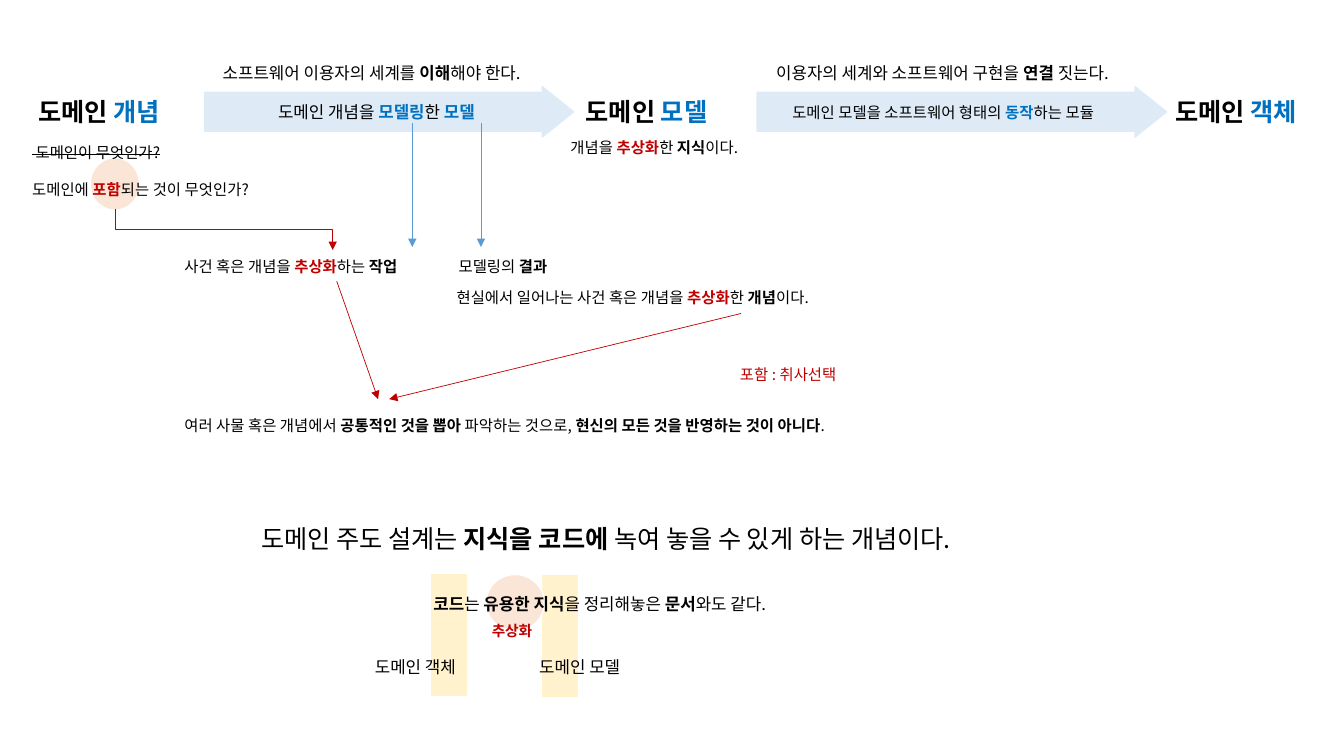
from lxml import etree
from pptx import Presentation
from pptx.dml.color import RGBColor
from pptx.enum.shapes import MSO_CONNECTOR, MSO_SHAPE
from pptx.enum.text import MSO_ANCHOR, MSO_AUTO_SIZE, PP_ALIGN
from pptx.oxml.ns import qn
from pptx.util import Inches, Pt

STRAIGHT, ELBOW = MSO_CONNECTOR.STRAIGHT, MSO_CONNECTOR.ELBOW
RECT, OVAL, ARROW = MSO_SHAPE.RECTANGLE, MSO_SHAPE.OVAL, MSO_SHAPE.RIGHT_ARROW
FONT = "Noto Sans CJK KR"
BLACK, RED, BLUE, SKY = "000000", "C00000", "0070C0", "5B9BD5"
YELLOW, PEACH, PALE_BLUE, WHITE = "FFF2CC", "FBE5D6", "DEEBF7", "FFFFFF"

# run style: (colour, font attributes)
PLAIN = (BLACK, {"bold": False})
BOLD = (BLACK, {"bold": True})
KEY = (BLUE, {"bold": True})
ABSTRACT = (RED, {"bold": True})
NOTE = (RED, {"bold": False})
STRUCK = (BLACK, {"bold": False, "strike": True})

# kind, left, top, width, height, fill, line
HIGHLIGHTS = [
    (RECT, 5.38, 5.71, 0.35, 1.2, YELLOW, YELLOW),
    (RECT, 4.28, 5.7, 0.35, 1.2, YELLOW, YELLOW),
    (OVAL, 4.82, 5.7, 0.58, 0.56, PEACH, WHITE),
    (OVAL, 0.91, 1.58, 0.46, 0.49, PEACH, PEACH),
    (ARROW, 7.51, 0.86, 4.06, 0.5, PALE_BLUE, PALE_BLUE),
    (ARROW, 2.03, 0.86, 3.66, 0.5, PALE_BLUE, PALE_BLUE),
]
ARROW_ADJUSTMENTS = (0.772, 0.623)

HEADLINE = (2.49, 5.14, 7.97, 0.4, 18, [
    ("도메인 주도 설계는 ", PLAIN), ("지식을 코드에", BOLD),
    (" 녹여 놓을 수 있게 하는 개념이다.", PLAIN)])

# left, top, width, height, size, runs
LABELS = [
    (0.28, 0.91, 1.55, 0.4, 18, [("도메인 ", BOLD), ("개념", KEY)]),
    (5.71, 0.91, 1.55, 0.4, 18, [("도메인 ", BOLD), ("모델", KEY)]),
    (11.56, 0.91, 1.55, 0.4, 18, [("도메인 ", BOLD), ("객체", KEY)]),
    (2.11, 0.57, 3.51, 0.3, 12, [
        ("소프트웨어 이용자의 세계를 ", PLAIN), ("이해", BOLD), ("해야 한다.", PLAIN)]),
    (7.6, 0.57, 3.87, 0.3, 12, [
        ("이용자의 세계와 소프트웨어 구현을 ", PLAIN), ("연결", BOLD), (" 짓는다.", PLAIN)]),
    (2.66, 0.96, 2.4, 0.3, 12, [
        ("도메인 개념을 ", PLAIN), ("모델링", KEY), ("한 ", PLAIN), ("모델", KEY)]),
    (7.76, 0.97, 3.56, 0.29, 11, [
        ("도메인 모델을 소프트웨어 형태의 ", PLAIN), ("동작", KEY), ("하는 모듈", PLAIN)]),
    (5.56, 1.32, 2.04, 0.29, 11, [
        ("개념을 ", PLAIN), ("추상화", ABSTRACT), ("한 ", PLAIN), ("지식", BOLD), ("이다.", PLAIN)]),
    (1.73, 2.5, 2.58, 0.29, 11, [
        ("사건 혹은 개념을 ", PLAIN), ("추상화", ABSTRACT), ("하는 ", PLAIN), ("작업", BOLD)]),
    (4.45, 2.5, 1.18, 0.29, 11, [("모델링의 ", PLAIN), ("결과", BOLD)]),
    (4.43, 2.81, 4.08, 0.29, 11, [
        ("현실에서 일어나는 사건 혹은 개념을 ", PLAIN), ("추상화", ABSTRACT),
        ("한 ", PLAIN), ("개념", BOLD), ("이다.", PLAIN)]),
    (1.73, 4.08, 7.32, 0.29, 11, [
        ("여러 사물 혹은 개념에서 ", PLAIN), ("공통적인 것을 뽑아", BOLD),
        (" 파악하는 것으로, ", PLAIN),
        ("현신의 모든 것을 반영하는 것이 아니다", BOLD), (".", PLAIN)]),
    (7.24, 3.57, 1.27, 0.29, 11, [("포함 : 취사선택", NOTE)]),
    (4.2, 5.84, 3.87, 0.3, 12, [
        ("코드", BOLD), ("는 ", PLAIN), ("유용한 지식", BOLD),
        ("을 정리해놓은 ", PLAIN), ("문서", BOLD), ("와도 같다.", PLAIN)]),
    (4.78, 6.12, 0.66, 0.29, 10.5, [("추상화", ABSTRACT)]),
    (3.62, 6.47, 1.1, 0.3, 12, [("도메인 객체", PLAIN)]),
    (5.25, 6.47, 1.1, 0.3, 12, [("도메인 모델", PLAIN)]),
]

QUESTION_BOX = (0.22, 1.28, 2.59, 0.75)
QUESTIONS = [
    (1.5, [(" 도메인이 무엇인가?", STRUCK)]),
    (2.0, [("도메인에 ", PLAIN), ("포함", ABSTRACT), ("되는 것이 무엇인가?", PLAIN)]),
]

# kind, start, end, colour
LINKS = [
    (STRAIGHT, (4.09, 1.22), (4.09, 2.45), SKY),
    (STRAIGHT, (4.77, 1.22), (4.77, 2.45), SKY),
    (STRAIGHT, (7.35, 3.11), (3.86, 3.96), RED),
    (STRAIGHT, (3.34, 2.79), (3.75, 3.96), RED),
    (ELBOW, (1.14, 2.07), (3.3, 2.48), RED),
]

SCRIBBLE = [
    (6.88, 4.01), (6.92, 4.01), (6.93, 4), (6.96, 3.98), (6.97, 3.97), (6.98, 3.95),
    (6.97, 3.88), (6.97, 3.86), (6.96, 3.86), (6.92, 3.86), (6.92, 3.88), (6.93, 3.92),
    (7.02, 3.91), (7.03, 3.9), (7.04, 3.9), (7.05, 3.88), (7.06, 3.86), (7.07, 3.85),
    (7.07, 3.83), (7.07, 3.76), (7.06, 3.75), (7.05, 3.74), (7.02, 3.75), (7.02, 3.77),
    (7.03, 3.82), (7.04, 3.83), (7.09, 3.82), (7.11, 3.82), (7.12, 3.81), (7.12, 3.79),
    (7.14, 3.78), (7.14, 3.73),
]


def rgb(value):
    return RGBColor.from_string(value)


def set_line(shape, color, width):
    shape.line.color.rgb = rgb(color)
    shape.line.width = Pt(width)


def place(shape, box):
    for side, length in zip(("left", "top", "width", "height"), box):
        setattr(shape, side, Inches(length))


def write_paragraph(paragraph, size, runs):
    paragraph.alignment = PP_ALIGN.LEFT
    for text, (color, attributes) in runs:
        run = paragraph.add_run()
        run.text = text
        run.font.color.rgb = rgb(color)
        properties = run.font._element
        for name, value in {"size": Pt(size), "name": FONT, "bold": attributes["bold"]}.items():
            setattr(run.font, name, value)
        if attributes.get("strike"):
            properties.set("strike", "sngStrike")
        etree.SubElement(properties, qn("a:ea"), typeface=FONT)


def fit_frame(frame):
    settings = {"word_wrap": False, "auto_size": MSO_AUTO_SIZE.SHAPE_TO_FIT_TEXT,
                "vertical_anchor": MSO_ANCHOR.TOP}
    for name, value in settings.items():
        setattr(frame, name, value)
    return frame


def add_highlight(slide, kind, left, top, width, height, fill, line):
    shape = slide.shapes.add_shape(kind, *map(Inches, (left, top, width, height)))
    shape.shadow.inherit = False
    shape.fill.solid()
    shape.fill.fore_color.rgb = rgb(fill)
    set_line(shape, line, 1)
    if kind == ARROW:
        for index, value in enumerate(ARROW_ADJUSTMENTS):
            shape.adjustments[index] = value


def add_link(slide, kind, start, end, color):
    link = slide.shapes.add_connector(kind, *map(Inches, start + end))
    set_line(link, color, 0.5)
    etree.SubElement(link.line._get_or_add_ln(), qn("a:tailEnd"), type="triangle")
    properties = link._element.spPr
    etree.SubElement(properties, qn("a:effectLst"))
    if kind == ELBOW:
        # a quarter turn makes the elbow leave downwards
        (x1, y1), (x2, y2) = start, end
        run, drop = x2 - x1, y2 - y1
        place(link, ((x1 + x2 - drop) / 2, (y1 + y2 - run) / 2, drop, run))
        frame = properties.find(qn("a:xfrm"))
        frame.set("rot", str(270 * 60000))
        frame.set("flipH", "1")


def add_scribble(slide):
    builder = slide.shapes.build_freeform(*SCRIBBLE[0], scale=Inches(1))
    builder.add_line_segments(SCRIBBLE[1:], close=False)
    scribble = builder.convert_to_shape()
    scribble.shadow.inherit = False
    scribble.fill.background()
    set_line(scribble, RED, 3)


def main():
    deck = Presentation()
    deck.slide_width, deck.slide_height = Inches(13.33), Inches(7.5)
    slide = deck.slides.add_slide(deck.slide_layouts[5])

    for highlight in HIGHLIGHTS:
        add_highlight(slide, *highlight)

    *box, size, runs = HEADLINE
    title = slide.shapes.title
    place(title, box)
    write_paragraph(fit_frame(title.text_frame).paragraphs[0], size, runs)
    slide.shapes._spTree.append(title._element)

    for *box, size, runs in LABELS:
        label = slide.shapes.add_textbox(*map(Inches, box))
        write_paragraph(fit_frame(label.text_frame).paragraphs[0], size, runs)

    questions = slide.shapes.add_textbox(*map(Inches, QUESTION_BOX))
    frame = fit_frame(questions.text_frame)
    for index, (spacing, runs) in enumerate(QUESTIONS):
        paragraph = frame.add_paragraph() if index else frame.paragraphs[0]
        paragraph.line_spacing = spacing
        write_paragraph(paragraph, 11, runs)

    for link in LINKS:
        add_link(slide, *link)
    add_scribble(slide)
    deck.save("out.pptx")


if __name__ == "__main__":
    main()
